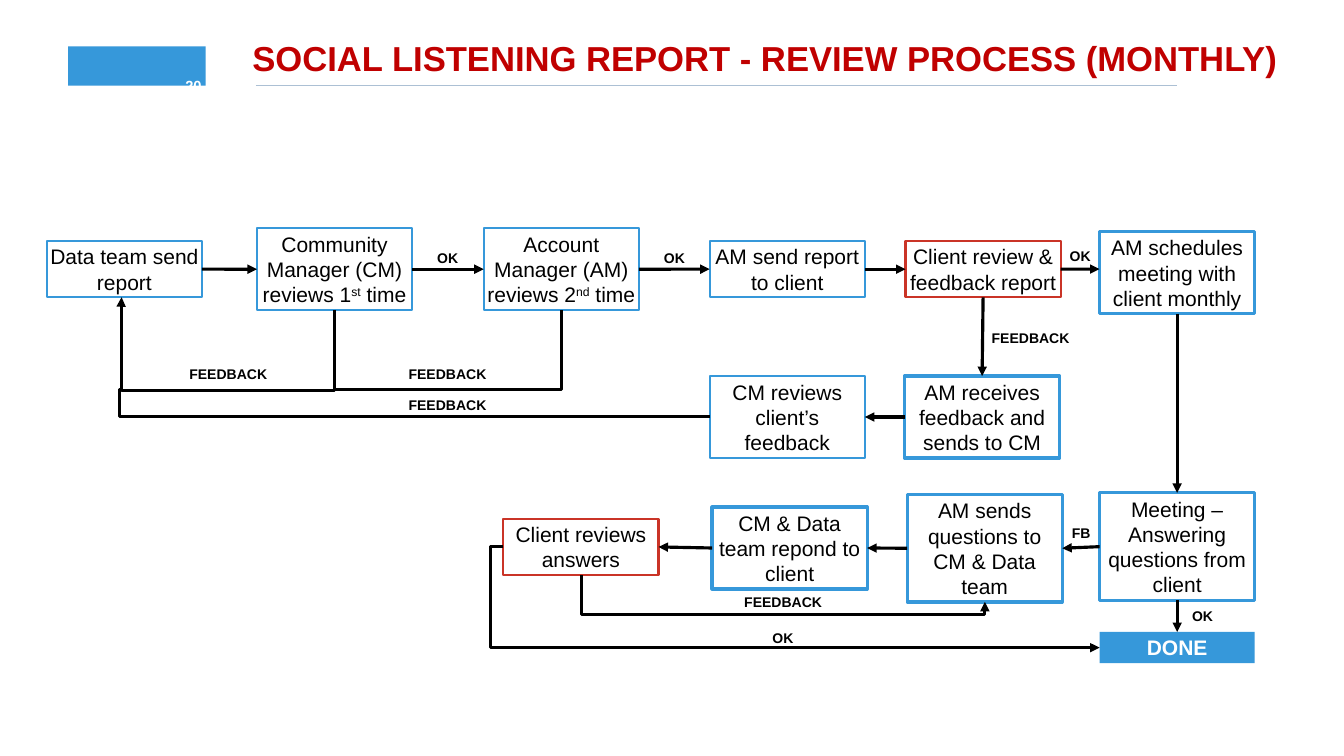
from lxml import etree
from pptx import Presentation
from pptx.dml.color import RGBColor
from pptx.enum.shapes import MSO_CONNECTOR, MSO_SHAPE
from pptx.enum.text import MSO_ANCHOR, MSO_AUTO_SIZE, PP_ALIGN
from pptx.oxml.ns import qn
from pptx.util import Cm, Pt

RECT = MSO_SHAPE.RECTANGLE
LINE, ELBOW = MSO_CONNECTOR.STRAIGHT, MSO_CONNECTOR.ELBOW
MID, TOP = MSO_ANCHOR.MIDDLE, MSO_ANCHOR.TOP
LEFT, MIDDLE = PP_ALIGN.LEFT, PP_ALIGN.CENTER
GROW = MSO_AUTO_SIZE.SHAPE_TO_FIT_TEXT
N, W, S, E = range(4)
HEX = {"blue": "3698DA", "red": "CA3427", "title": "C00000", "rule": "ACC0D4",
       "black": "000000", "white": "FFFFFF"}
COLOR = {name: RGBColor.from_string(code) for name, code in HEX.items()}


def write(shape, text, size, color="black", bold=False, align=MIDDLE, anchor=MID, wrap=True):
    frame = shape.text_frame
    frame.word_wrap = wrap
    if not wrap:
        frame.auto_size = GROW
    frame.vertical_anchor = anchor
    frame.margin_left = frame.margin_right = Cm(0.15)
    frame.margin_top = frame.margin_bottom = Cm(0.15)
    para = frame.paragraphs[0]
    para.alignment = align
    for i, part in enumerate(text.split("^")):
        run = para.add_run()
        run.text = part
        font = run.font
        font.name, font.size, font.bold = "Arial", Pt(size), bold
        font.color.rgb = COLOR[color]
        if i % 2:
            font._element.set("baseline", "30000")


def link(kind, ends, color="black", width=4.5, arrow=True):
    line = slide.shapes.add_connector(kind, *[Cm(v) for v in ends])
    line.line.color.rgb = COLOR[color]
    line.line.width = Pt(width)
    props = line._element.spPr
    if arrow:
        etree.SubElement(props.find(qn("a:ln")), qn("a:tailEnd"), type="triangle")
    etree.SubElement(props, qn("a:effectLst"))
    return line


prs = Presentation()
prs.slide_width, prs.slide_height = Cm(67.74), Cm(38.1)
slide = prs.slides.add_slide(prs.slide_layouts[6])

badge = slide.shapes.add_shape(RECT, Cm(3.43), Cm(2.34), Cm(6.93), Cm(1.98))
badge.shadow.inherit = False
badge.fill.solid()
badge.fill.fore_color.rgb = COLOR["blue"]
badge.line.fill.background()

link(LINE, (12.9, 4.32, 59.31, 4.32), "rule", 2, False)
title = slide.shapes.add_textbox(Cm(12.57), Cm(1.73), Cm(54.46), Cm(3.15))
write(title, "SOCIAL LISTENING REPORT - REVIEW PROCESS (MONTHLY)", 49.5, "title", True, LEFT, TOP)
page = slide.shapes.add_textbox(Cm(8.95), Cm(3.73), Cm(1.6), Cm(1.19))
write(page, "20", 21, "white", True, anchor=TOP, wrap=False)

steps = [
    ("data", 2.36, 12.14, 2, "blue", 3, "Data team send report"),
    ("first", 12.95, 11.5, 3, "blue", 3, "Community Manager (CM) reviews 1^st^ time"),
    ("second", 24.38, 11.5, 3, "blue", 3, "Account Manager (AM) reviews 2^nd^ time"),
    ("send", 35.77, 12.14, 2, "blue", 3, "AM send report to client"),
    ("client", 45.64, 12.14, 2, "red", 3, "Client review & feedback report"),
    ("plan", 55.42, 11.68, 3, "blue", 4.5, "AM schedules meeting with client monthly"),
    ("receive", 45.59, 18.95, 3, "blue", 4.5, "AM receives feedback and sends to CM"),
    ("check", 35.77, 18.95, 3, "blue", 3, "CM reviews client’s feedback"),
    ("meet", 55.42, 24.84, 4, "blue", 4.5, "Meeting – Answering questions from client"),
    ("ask", 45.72, 24.92, 4, "blue", 4.5, "AM sends questions to CM & Data team"),
    ("reply", 35.89, 25.55, 3, "blue", 4.5, "CM & Data team repond to client"),
    ("answer", 25.37, 26.14, 2, "red", 3, "Client reviews answers"),
    ("done", 55.42, 31.85, 1, "blue", 0, "DONE"),
]
boxes = {}
for name, x, y, rows, color, width, text in steps:
    box = slide.shapes.add_shape(RECT, Cm(x), Cm(y), Cm(7.82), Cm(0.28 + 1.285 * rows))
    box.shadow.inherit = False
    if width:
        box.fill.background()
        box.line.color.rgb = COLOR[color]
        box.line.width = Pt(width)
        write(box, text, 30)
    else:
        box.fill.solid()
        box.fill.fore_color.rgb = COLOR[color]
        box.line.fill.background()
        write(box, text, 30, "white", True)
    boxes[name] = box

arrows = [
    ("data", E, "first", W), ("first", E, "second", W), ("second", E, "send", W),
    ("send", E, "client", W), ("client", S, "receive", N),
    ("receive", W, "check", E), ("plan", S, "meet", N), ("meet", S, "done", N),
    ("meet", W, "ask", E), ("ask", W, "reply", E), ("reply", W, "answer", E),
]
for start, out, end, into in arrows:
    line = link(LINE, (0, 0, 1, 1))
    line.begin_connect(boxes[start], out)
    line.end_connect(boxes[end], into)
line = link(LINE, (53.46, 13.56, 55.42, 13.56))
line.begin_connect(boxes["client"], E)

bends = [
    ((11.82, 9.93, 11.18, 20.67), 90, "bentConnector4", (-633800, 100200), True),
    ((20.57, 11.91, 24.56, 23.34), 90, "bentConnector2", (), False),
    ((35.79, 21.01, 6.17, 19.63), 0, "bentConnector3", (100500,), False),
    ((40.14, 19.48, 38.79, 39.83), 270, "bentConnector3", (147200,), True),
    ((25.37, 27.56, 55.42, 32.64), 0, "bentConnector3", (-2100,), True),
]
for ends, turn, shape, bend, arrow in bends:
    props = link(ELBOW, ends, arrow=arrow)._element.spPr
    if turn:
        props.find(qn("a:xfrm")).set("rot", str(turn * 60000))
    geom = props.find(qn("a:prstGeom"))
    geom.set("prst", shape)
    guides = geom.find(qn("a:avLst"))
    for i, value in enumerate(bend, 1):
        etree.SubElement(guides, qn("a:gd"), name=f"adj{i}", fmla=f"val {value}")

widths = {"OK": 1.75, "FB": 1.65, "FEEDBACK": 4.65}
labels = [
    ("OK", 21.69, 12.42), ("OK", 33.12, 12.42), ("OK", 53.57, 12.32),
    ("FEEDBACK", 49.62, 16.46), ("FEEDBACK", 9.18, 18.29), ("FEEDBACK", 20.23, 18.29),
    ("FEEDBACK", 20.23, 19.86), ("FB", 53.67, 26.31), ("FEEDBACK", 37.15, 29.77),
    ("OK", 59.74, 30.48), ("OK", 38.59, 31.6),
]
for text, x, y in labels:
    label = slide.shapes.add_textbox(Cm(x), Cm(y), Cm(widths[text]), Cm(1.14))
    write(label, text, 20, bold=True, wrap=False)

prs.save("out.pptx")
